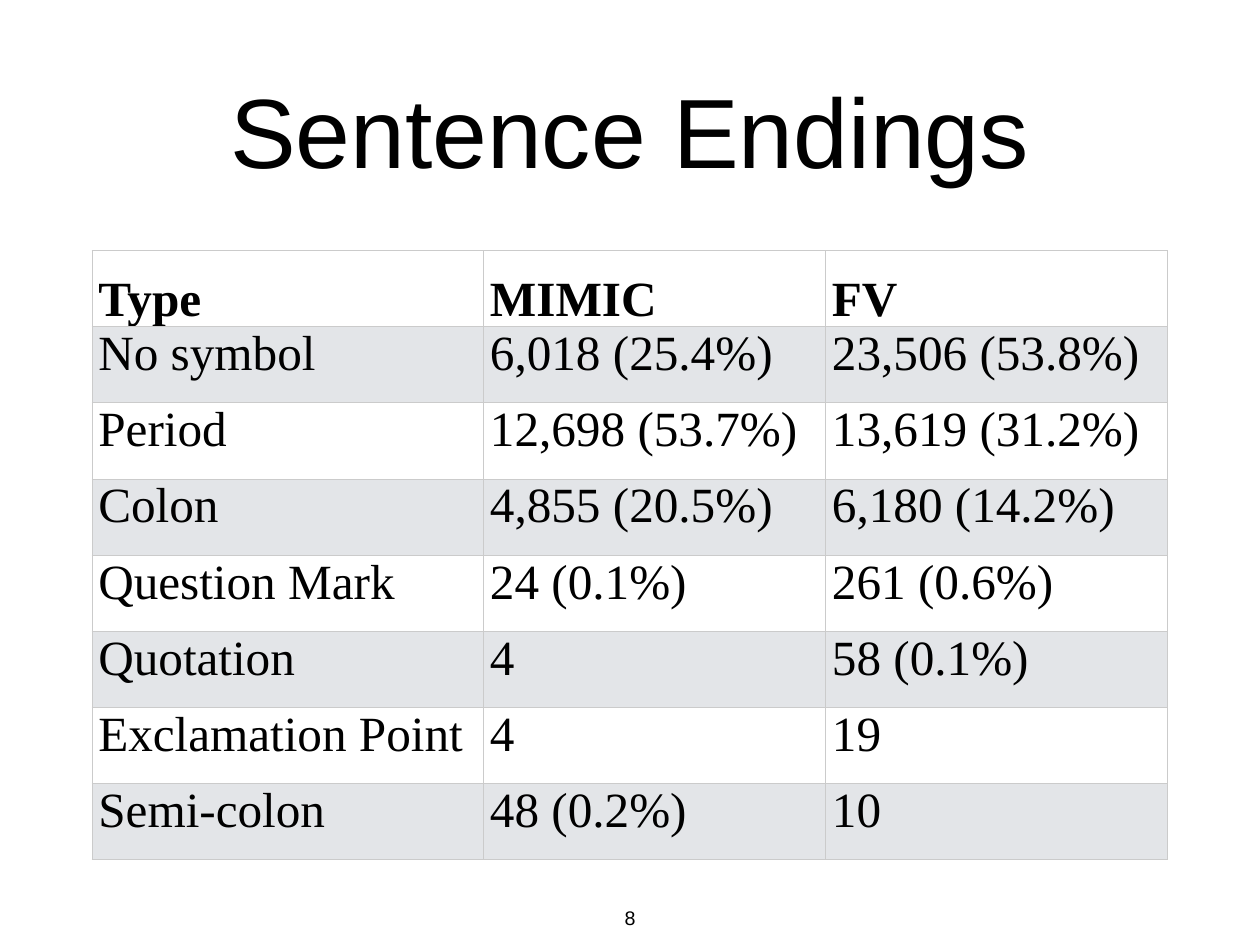
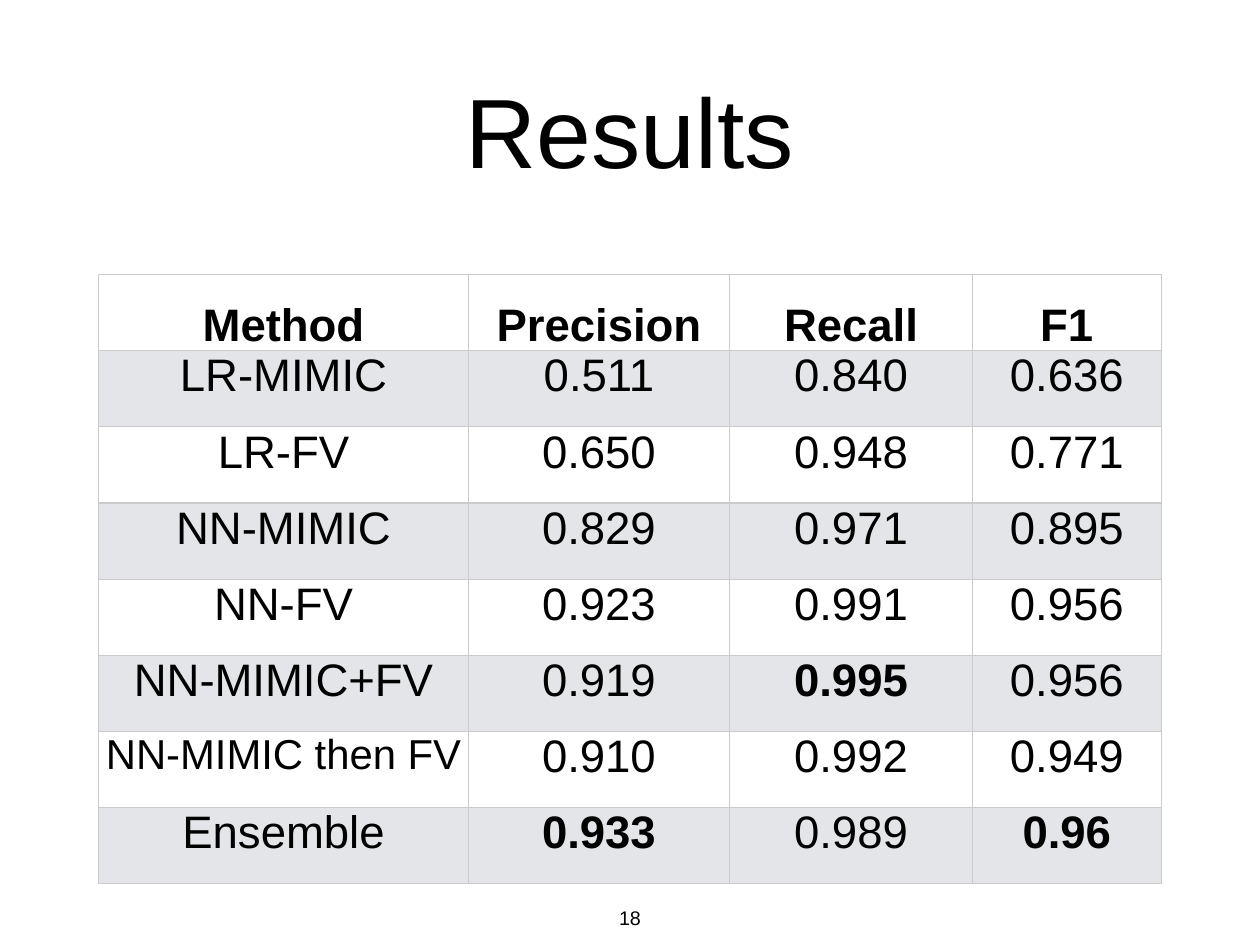
from lxml.etree import SubElement
from pptx import Presentation
from pptx.dml.color import RGBColor
from pptx.enum.text import MSO_ANCHOR, MSO_AUTO_SIZE, PP_ALIGN
from pptx.oxml.ns import qn
from pptx.util import Inches, Pt

BLACK = RGBColor(0x00, 0x00, 0x00)
WHITE = RGBColor(0xFF, 0xFF, 0xFF)
STRIPE = RGBColor(0xE3, 0xE5, 0xE8)
RULE = RGBColor(0xCB, 0xCB, 0xCB)
SLIDE_W, SLIDE_H = 14.22, 10.67
ROW_H = 0.86
SANS, SERIF = "Arial", "Times New Roman"
TITLE = {"name": SANS, "size": Pt(80)}
NUMBER = {"name": SANS, "size": Pt(16)}
ENDINGS_FONT = {"name": SERIF, "size": Pt(40)}
RESULTS_FONT = {"name": SANS, "size": Pt(37)}
BOLD = {"bold": True}

ENDINGS = [
    ("Type", "MIMIC", "FV"),
    ("No symbol", "6,018 (25.4%)", "23,506 (53.8%)"),
    ("Period", "12,698 (53.7%)", "13,619 (31.2%)"),
    ("Colon", "4,855 (20.5%)", "6,180 (14.2%)"),
    ("Question Mark", "24 (0.1%)", "261 (0.6%)"),
    ("Quotation", "4", "58 (0.1%)"),
    ("Exclamation Point", "4", "19"),
    ("Semi-colon", "48 (0.2%)", "10"),
]
RESULTS = [
    ("Method", "Precision", "Recall", "F1"),
    ("LR-MIMIC", "0.511", "0.840", "0.636"),
    ("LR-FV", "0.650", "0.948", "0.771"),
    ("NN-MIMIC", "0.829", "0.971", "0.895"),
    ("NN-FV", "0.923", "0.991", "0.956"),
    ("NN-MIMIC+FV", "0.919", "0.995", "0.956"),
    ("NN-MIMIC then FV", "0.910", "0.992", "0.949"),
    ("Ensemble", "0.933", "0.989", "0.96"),
]
RESULTS_SPECIAL = {
    "0.995": BOLD,
    "0.933": BOLD,
    "0.96": BOLD,
    "NN-MIMIC then FV": {"size": Pt(34)},
}


def set_attrs(obj, values):
    """Set each named attribute of an object."""
    for name, value in values.items():
        setattr(obj, name, value)


def centred(top, width, height):
    """Return a box centred across the slide."""
    return [Inches(v) for v in ((SLIDE_W - width) / 2, top, width, height)]


def write(tf, text, font, align):
    """Write one formatted paragraph."""
    p = tf.paragraphs[0]
    p.alignment = align
    r = p.add_run()
    r.text = text
    set_attrs(r.font, font)
    r.font.color.rgb = BLACK


def add_label(s, box, text, font, frame):
    """Add a centred line of text in a box."""
    tf = s.shapes.add_textbox(*box).text_frame
    sides = ("left", "top", "right", "bottom")
    set_attrs(tf, {f"margin_{side}": Inches(0.06) for side in sides})
    set_attrs(tf, frame)
    write(tf, text, font, PP_ALIGN.CENTER)


def add_borders(cell):
    """Draw a thin rule on all four sides of a cell."""
    props = cell._tc.get_or_add_tcPr()
    for side in "LRTB":
        ln = SubElement(props, qn(f"a:ln{side}"), w=str(Pt(1)))
        fill = SubElement(ln, qn("a:solidFill"))
        SubElement(fill, qn("a:srgbClr"), val=str(RULE))


def add_grid(s, top, widths, rows, font, align, special):
    """Add a striped table with a bold heading row."""
    box = centred(top, sum(widths), ROW_H * len(rows))
    table = s.shapes.add_table(len(rows), len(widths), *box).table
    table.horz_banding = table.first_row = False
    for column, width in zip(table.columns, widths):
        column.width = Inches(width)
    for i, row in enumerate(rows):
        table.rows[i].height = Inches(ROW_H)
        heading = i == 0
        for j, text in enumerate(row):
            cell = table.cell(i, j)
            set_attrs(cell, {
                "margin_left": Inches(0.07), "margin_right": Inches(0.07),
                "margin_top": 0, "margin_bottom": 0,
                "vertical_anchor": MSO_ANCHOR.BOTTOM if heading else MSO_ANCHOR.TOP,
            })
            add_borders(cell)
            cell.fill.solid()
            cell.fill.fore_color.rgb = STRIPE if i % 2 else WHITE
            style = {**font, "bold": heading, **special.get(text, {})}
            write(cell.text_frame, text, style, align)


def add_table_slide(prs, title, number, **grid):
    """Add a slide with a title, a table and a page number."""
    s = prs.slides.add_slide(prs.slide_layouts[6])
    s.background.fill.solid()
    s.background.fill.fore_color.rgb = WHITE
    add_label(s, centred(0.28, 12.14, 2.36), title, TITLE,
              {"word_wrap": True, "vertical_anchor": MSO_ANCHOR.MIDDLE})
    add_grid(s, **grid)
    add_label(s, centred(10.17, 0.13 + 0.12 * len(number), 0.35), number, NUMBER,
              {"word_wrap": False, "auto_size": MSO_AUTO_SIZE.SHAPE_TO_FIT_TEXT})


def main():
    """Build and save the two slides."""
    prs = Presentation()
    set_attrs(prs, {"slide_width": Inches(SLIDE_W), "slide_height": Inches(SLIDE_H)})
    add_table_slide(prs, "Sentence Endings", "8", top=2.83, widths=(4.42, 3.86, 3.86),
                    rows=ENDINGS, font=ENDINGS_FONT, align=PP_ALIGN.LEFT, special={})
    add_table_slide(prs, "Results", "18", top=3.1, widths=(4.17, 2.95, 2.74, 2.13),
                    rows=RESULTS, font=RESULTS_FONT, align=PP_ALIGN.CENTER,
                    special=RESULTS_SPECIAL)
    prs.save("out.pptx")


if __name__ == "__main__":
    main()
